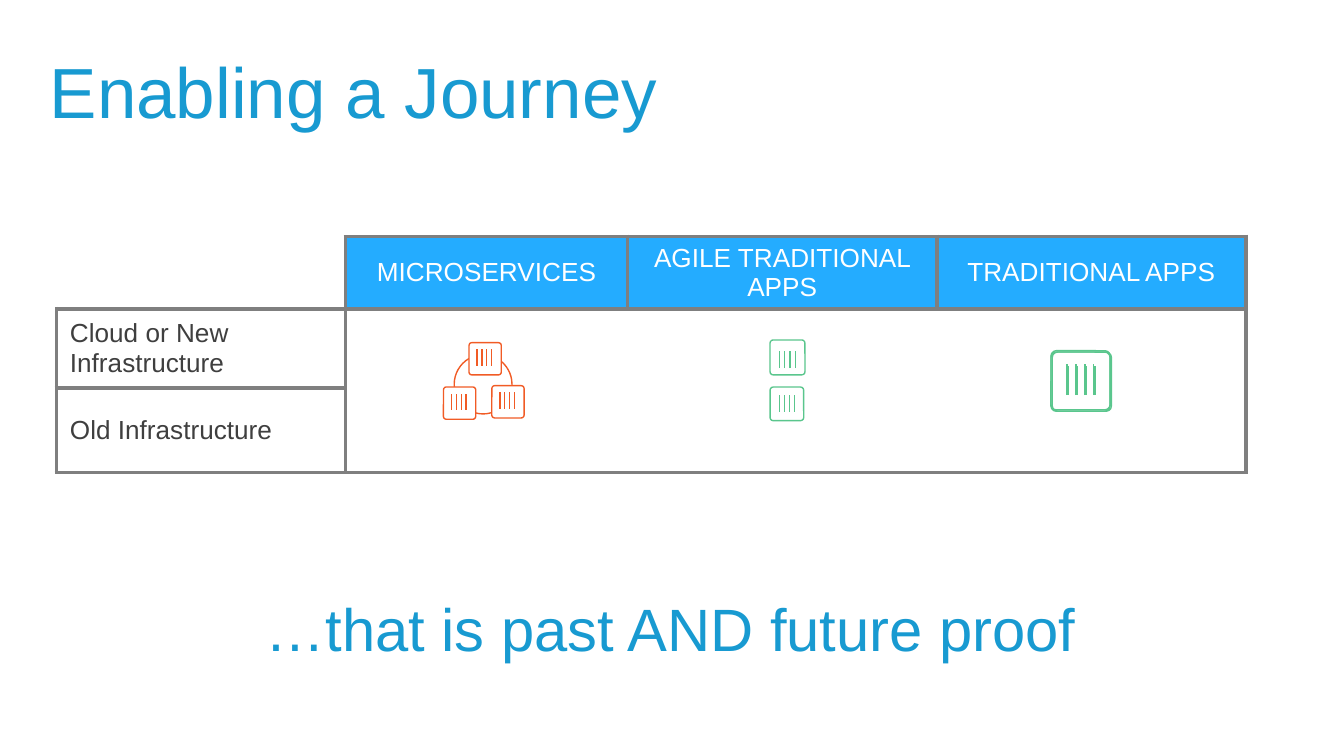
from lxml.etree import SubElement
from pptx import Presentation
from pptx.dml.color import RGBColor
from pptx.enum.shapes import MSO_CONNECTOR as Link, MSO_SHAPE as Preset
from pptx.enum.text import MSO_ANCHOR as Anchor, MSO_AUTO_SIZE as AutoSize, PP_ALIGN as Align
from pptx.oxml.ns import qn
from pptx.util import Inches, Pt

BLUE = RGBColor(0x18, 0x9A, 0xD1)
HEADER = RGBColor(0x24, 0xAC, 0xFF)
GRAY = RGBColor(0x7F, 0x7F, 0x7F)
DARK = RGBColor(0x3F, 0x3F, 0x3F)
WHITE = RGBColor(0xFF, 0xFF, 0xFF)
ORANGE = RGBColor(0xF1, 0x5B, 0x25)
GREEN = RGBColor(0x5A, 0xC6, 0x8D)

TITLE = ("Enabling a Journey", (0.27, 0.17, 9.69, 0.77), 38, Align.LEFT, 1.37)
CLOSING = ("…that is past AND future proof", (0.44, 4.13, 9.11, 0.75), 32, Align.CENTER, 1.62)

TABLE_LEFT, TABLE_TOP = 0.42, 1.76
COLUMNS = [2.15, 2.1, 2.3, 2.3]
ROWS = [0.5, 0.59, 0.63]
CELLS = [
    ["", "MICROSERVICES", "AGILE TRADITIONAL APPS", "TRADITIONAL APPS"],
    ["Cloud or New Infrastructure", "", "", ""],
    ["Old Infrastructure", "", "", ""],
]

RING = (3.38, 2.64, 0.43, 0.44)
CONTAINER_KEYS = ("left", "top", "size", "bar_left", "bar_top")
MICROSERVICES = [(3.3, 2.88, 0.24, 3.36, 2.93), (3.66, 2.87, 0.24, 3.72, 2.92),
                 (3.49, 2.55, 0.24, 3.55, 2.6)]
TRADITIONAL = [(7.82, 2.61, 0.44, 7.94, 2.71), (7.83, 2.62, 0.44, 7.95, 2.72),
               (7.82, 2.62, 0.44, 7.94, 2.72)]
AGILE = [(5.73, 2.88, 0.25, 5.8, 2.94), (5.73, 2.53, 0.26, 5.8, 2.61)]
BAR_COUNT, BAR_STEP, BAR_HEIGHT, CORNER = 4, 0.15, 0.5, 0.09


def inches(values):
    return [Inches(value) for value in values]


def set_font(para, **values):
    for name, value in {"name": "Arial", **values}.items():
        if name == "color":
            para.font.color.rgb = value
        else:
            setattr(para.font, name, value)


def write_heading(holder, content):
    text, place, size, align, spacing = content
    holder.left, holder.top, holder.width, holder.height = inches(place)
    frame = holder.text_frame
    frame.text = text
    frame.auto_size = AutoSize.NONE
    frame.vertical_anchor = Anchor.MIDDLE
    para = frame.paragraphs[0]
    properties = para._p.get_or_add_pPr()
    properties.set("marL", "0")
    properties.set("indent", "0")
    SubElement(properties, qn("a:buNone"))
    for name, value in {"alignment": align, "line_spacing": spacing, "space_before": Pt(0)}.items():
        setattr(para, name, value)
    set_font(para, size=Pt(size), color=BLUE)


def add_borders(cell, sides):
    properties = cell._tc.get_or_add_tcPr()
    for side in sides:
        line = SubElement(properties, qn(f"a:ln{side}"), w=str(Pt(2.25)))
        fill = SubElement(line, qn("a:solidFill"))
        SubElement(fill, qn("a:srgbClr"), val=str(GRAY))


def add_grid(page):
    place = inches((TABLE_LEFT, TABLE_TOP, sum(COLUMNS), sum(ROWS)))
    table = page.shapes.add_table(len(ROWS), len(COLUMNS), *place).table
    table.first_row = table.horz_banding = False
    for column, width in zip(table.columns, COLUMNS):
        column.width = Inches(width)
    for row, height in zip(table.rows, ROWS):
        row.height = Inches(height)
    table.cell(1, 1).merge(table.cell(2, 3))
    for row, texts in enumerate(CELLS):
        for column, text in enumerate(texts):
            cell = table.cell(row, column)
            header = row == 0 and column > 0
            add_borders(cell, "LRTB" if row or column else "RB")
            if header:
                cell.fill.solid()
                cell.fill.fore_color.rgb = HEADER
            else:
                cell.fill.background()
            cell.vertical_anchor = Anchor.MIDDLE
            cell.text = text
            para = cell.text_frame.paragraphs[0]
            para.alignment = Align.CENTER if header else Align.LEFT
            set_font(para, size=Pt(14), color=WHITE if header else DARK)


def add_outline(group, preset, place, color, fill=None):
    shape = group.shapes.add_shape(preset, *inches(place))
    shape.shadow.inherit = False
    if fill is None:
        shape.fill.background()
    else:
        shape.fill.solid()
        shape.fill.fore_color.rgb = fill
    shape.line.color.rgb = color
    shape.line.width = Pt(0.75)
    return shape


def add_containers(group, containers, color, fill=None):
    for values in containers:
        item = dict(zip(CONTAINER_KEYS, values))
        size = item["size"]
        place = (item["left"], item["top"], size, size)
        frame = add_outline(group, Preset.ROUNDED_RECTANGLE, place, color, fill)
        frame.adjustments[0] = CORNER
        for index in range(BAR_COUNT):
            x = item["bar_left"] + index * BAR_STEP * size
            ends = inches((x, item["bar_top"] + BAR_HEIGHT * size, x, item["bar_top"]))
            bar = group.shapes.add_connector(Link.STRAIGHT, *ends)
            bar.line.color.rgb = color
            bar.line.width = Pt(0.75)
            SubElement(bar._element.spPr, qn("a:effectLst"))


def main():
    deck = Presentation()
    deck.slide_width = Inches(10)
    deck.slide_height = deck.slide_width * 9 // 16
    page = deck.slides.add_slide(deck.slide_layouts[1])
    write_heading(page.shapes.title, TITLE)
    write_heading(page.placeholders[1], CLOSING)
    add_grid(page)
    services = page.shapes.add_group_shape()
    add_outline(services, Preset.OVAL, RING, ORANGE)
    add_containers(services, MICROSERVICES, ORANGE, WHITE)
    for containers in (TRADITIONAL, AGILE):
        add_containers(page.shapes.add_group_shape(), containers, GREEN)
    deck.save("out.pptx")


if __name__ == "__main__":
    main()
